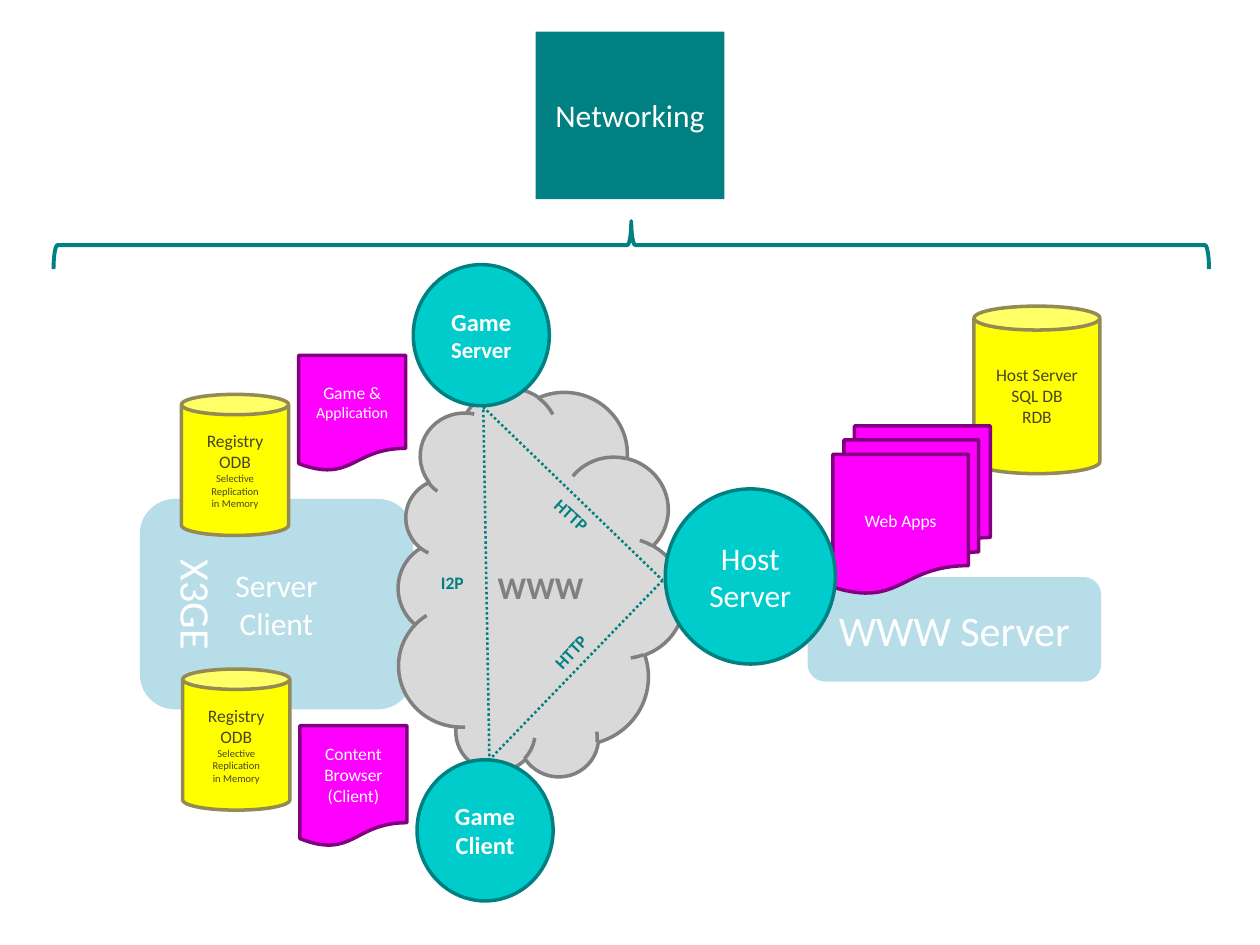
from pptx import Presentation
from pptx import util as u
from pptx.dml.color import RGBColor
from pptx.enum import dml, shapes, text

TEAL = RGBColor(0x00, 0x80, 0x80)
CYAN = RGBColor(0x00, 0xCC, 0xCC)
PALE = RGBColor(0xB7, 0xDE, 0xE8)
YELLOW = RGBColor(0xFF, 0xFF, 0x00)
OLIVE = RGBColor(0x94, 0x8A, 0x54)
BROWN = RGBColor(0x4A, 0x45, 0x2A)
PINK = RGBColor(0xFF, 0x00, 0xFF)
PURPLE = RGBColor(0x80, 0x00, 0x80)
SILVER = RGBColor(0xD9, 0xD9, 0xD9)
GREY = RGBColor(0x80, 0x80, 0x80)
WHITE = RGBColor(0xFF, 0xFF, 0xFF)

KIND = shapes.MSO_SHAPE
# The slide is a grid of 100 columns by 75 rows
COLS, ROWS = 100, 75
CELL = u.Inches(10) // COLS


def cells(*box):
    """Turn columns and rows into lengths."""
    return [round(n * CELL) for n in box]


def write(frame, lines, color, bold=False):
    """Fill a frame with centred (words, size) lines."""
    frame.text = "\n".join(words for words, _ in lines)
    for para, (_, size) in zip(frame.paragraphs, lines):
        para.alignment = text.PP_ALIGN.CENTER
        for run in para.runs:
            run.font.name = "Calibri"
            run.font.size = u.Pt(size)
            run.font.bold = bold
            run.font.color.rgb = color


def draw(slide, kind, box, fill=None, line=None, width=2, turn=0, adjust=None):
    """Add a plain shape with optional fill and outline."""
    shape = slide.shapes.add_shape(kind, *cells(*box))
    shape.shadow.inherit = False
    shape.rotation = turn
    if fill is None:
        shape.fill.background()
    else:
        shape.fill.solid()
        shape.fill.fore_color.rgb = fill
    if line is None:
        shape.line.fill.background()
    else:
        shape.line.color.rgb = line
        shape.line.width = u.Pt(width)
    if adjust is not None:
        shape.adjustments[0] = adjust
    return shape


def panel(slide, box, lines):
    shape = draw(slide, KIND.ROUNDED_RECTANGLE, box, PALE, adjust=0.167)
    write(shape.text_frame, lines, WHITE)


def store(slide, box, lines):
    shape = draw(slide, KIND.CAN, box, YELLOW, OLIVE, adjust=0.19)
    write(shape.text_frame, lines, BROWN)


def paper(slide, box, lines, kind=KIND.FLOWCHART_DOCUMENT):
    shape = draw(slide, kind, box, PINK, PURPLE)
    write(shape.text_frame, lines, WHITE)


def node(slide, box, lines, bold=True):
    shape = draw(slide, KIND.OVAL, box, CYAN, TEAL)
    write(shape.text_frame, lines, WHITE, bold)


def label(slide, box, words, size=10, color=TEAL, turn=0, bold=True, wrap=True):
    shape = slide.shapes.add_textbox(*cells(*box))
    shape.rotation = turn
    shape.text_frame.word_wrap = wrap
    write(shape.text_frame, [(words, size)], color, bold)


def heading(slide):
    title = slide.shapes.title
    title.left, title.top, title.width, title.height = cells(42.5, 2.5, 15, 13.3)
    title.fill.solid()
    title.fill.fore_color.rgb = TEAL
    title.text_frame.vertical_anchor = text.MSO_ANCHOR.MIDDLE
    write(title.text_frame, [("Networking", 18)], WHITE)


def main():
    deck = Presentation()
    deck.slide_width, deck.slide_height = cells(COLS, ROWS)
    slide = deck.slides.add_slide(deck.slide_layouts[5])

    # Heading and the brace below it
    heading(slide)
    draw(slide, KIND.LEFT_BRACE, (48.2, -26.4, 3.8, 91.7), line=TEAL,
         width=2.25, turn=90)

    # Pale panels at both sides
    panel(slide, (64.1, 45.8, 23.3, 8.3), [("WWW Server", 24)])
    panel(slide, (11.1, 39.6, 21.7, 16.7), [("Server", 18), ("Client", 18)])

    # Databases
    registry = [("Registry", 10), ("ODB", 10),
                ("Selective Replication", 6), ("in Memory", 6)]
    for left, top in ((14.4, 31.3), (14.5, 53.1)):
        store(slide, (left, top, 8.5, 11.2), registry)
    store(slide, (77.3, 24.3, 10, 13.3),
          [("Host Server", 10), ("SQL DB", 10), ("RDB", 10)])

    # Cloud with the names of the links
    draw(slide, KIND.CLOUD, (27.4, 34.7, 30.7, 23.2), SILVER, GREY, turn=283)
    label(slide, (42, 39.5, 6.7, 2.7), "HTTP", turn=42)
    label(slide, (33.8, 44.9, 4.2, 2.7), "I2P")
    label(slide, (42.4, 50.4, 5.8, 2.7), "HTTP", turn=313)
    # The side label is wide enough for its word on one line
    label(slide, (9.2, 45.5, 12.9, 5), "X3GE", 24, WHITE, 90, bold=False)

    # Applications and servers
    paper(slide, (23.7, 28.2, 8.5, 9.2), [("Game &", 10), ("Application", 9)])
    paper(slide, (23.8, 57.6, 8.5, 9.6),
          [("Content", 10), ("Browser", 10), ("(Client)", 10)])
    paper(slide, (66.1, 33.8, 12.5, 13.3), [("Web Apps", 10)],
          KIND.FLOWCHART_MULTIDOCUMENT)
    node(slide, (32.8, 21, 10.8, 11.2), [("Game", 14), ("Server", 13)])
    node(slide, (33.1, 60.3, 10.8, 11.2), [("Game", 14), ("Client", 14)])
    node(slide, (52.8, 38.8, 13.5, 13.9), [("Host", 18), ("Server", 18)], False)
    label(slide, (38.5, 44.6, 8.8, 4), "WWW", 18, GREY, wrap=False)

    # Dotted links between the three nodes
    links = draw(slide, KIND.RIGHT_TRIANGLE, (28.7, 36.4, 19.8, 19.8),
                 line=TEAL, width=1.45, turn=224)
    links.line.dash_style = dml.MSO_LINE.ROUND_DOT

    deck.save("out.pptx")


if __name__ == "__main__":
    main()
